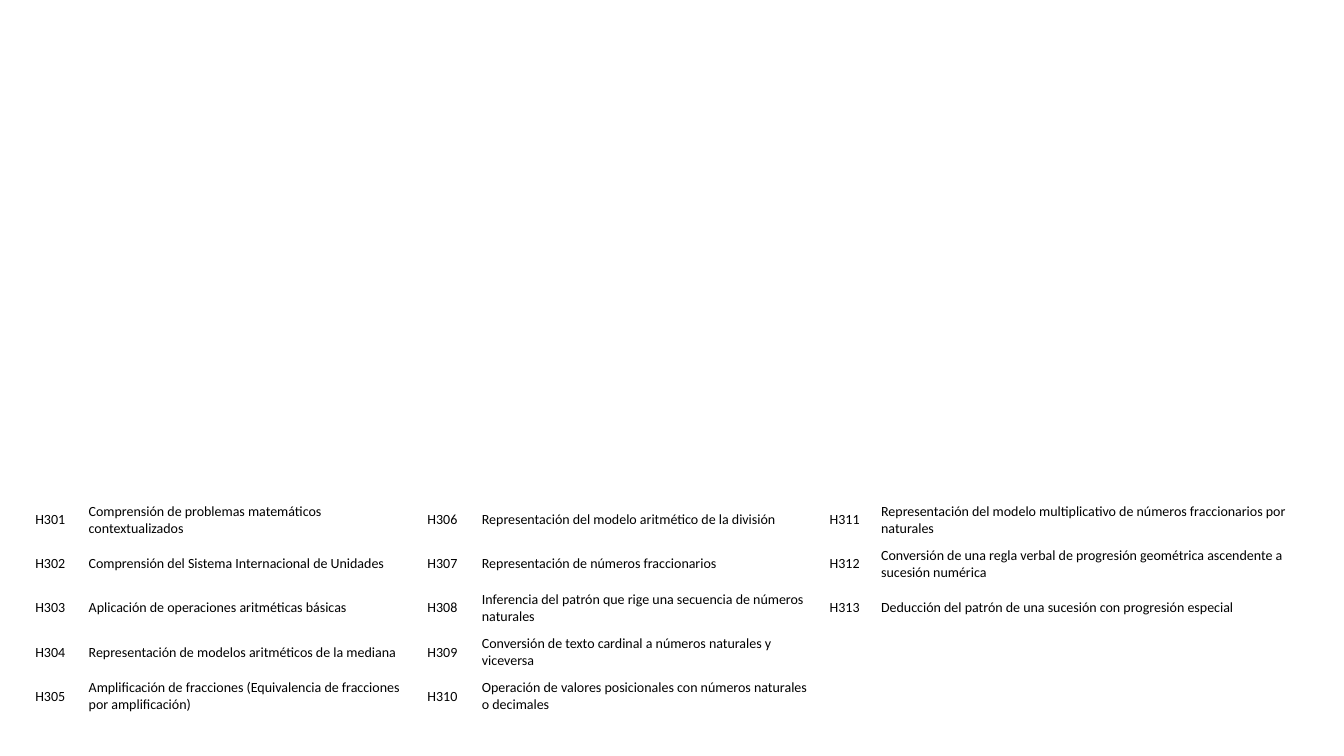
from pptx import Presentation
from pptx import util as u
from pptx.dml.color import RGBColor
from pptx.enum import text

BLACK = RGBColor(0x00, 0x00, 0x00)
FONT = "Calibri"
FIRST_CODE = 301
SKILLS_PER_COLUMN = 5
COLUMN_WIDTHS = [0.53, 3.36, 0.54, 3.45, 0.51, 4.35]
ROW_HEIGHT = 0.43

SKILLS = [
    "Comprensión de problemas matemáticos contextualizados",
    "Comprensión del Sistema Internacional de Unidades",
    "Aplicación de operaciones aritméticas básicas",
    "Representación de modelos aritméticos de la mediana",
    "Amplificación de fracciones (Equivalencia de fracciones por amplificación)",
    "Representación del modelo aritmético de la división",
    "Representación de números fraccionarios",
    "Inferencia del patrón que rige una secuencia de números naturales",
    "Conversión de texto cardinal a números naturales y viceversa",
    "Operación de valores posicionales con números naturales o decimales",
    "Representación del modelo multiplicativo de números fraccionarios por naturales",
    "Conversión de una regla verbal de progresión geométrica ascendente a sucesión numérica",
    "Deducción del patrón de una sucesión con progresión especial",
]


def write(cell, wording, size=10, color=BLACK, anchor=text.MSO_ANCHOR.MIDDLE):
    """Put formatted wording in a table cell."""
    cell.vertical_anchor = anchor
    paragraph = cell.text_frame.paragraphs[0]
    run = paragraph.add_run()
    run.text = wording
    run.font.name = FONT
    run.font.size = u.Pt(size)
    run.font.color.rgb = color


def add_skill_key(slide, left, top):
    """Lay out the skill codes and descriptions, filling column by column."""
    frame = slide.shapes.add_table(
        SKILLS_PER_COLUMN, len(COLUMN_WIDTHS), u.Inches(left), u.Inches(top),
        u.Inches(sum(COLUMN_WIDTHS)), u.Inches(SKILLS_PER_COLUMN * ROW_HEIGHT))
    key = frame.table
    key.first_row = key.horz_banding = False
    for column, width in zip(key.columns, COLUMN_WIDTHS):
        column.width = u.Inches(width)
    for row in key.rows:
        row.height = u.Inches(ROW_HEIGHT)
    for cell in key.iter_cells():
        cell.fill.background()

    for index, skill in enumerate(SKILLS):
        pair, row = divmod(index, SKILLS_PER_COLUMN)
        write(key.cell(row, 2 * pair), f"H{FIRST_CODE + index}")
        write(key.cell(row, 2 * pair + 1), skill)


def main():
    deck = Presentation()
    deck.slide_width, deck.slide_height = u.Inches(13.33), u.Inches(7.5)
    slide = deck.slides.add_slide(deck.slide_layouts[6])

    # Key of skills at the foot of the slide
    add_skill_key(slide, left=0.25, top=4.94)
    deck.save("out.pptx")


if __name__ == "__main__":
    main()
